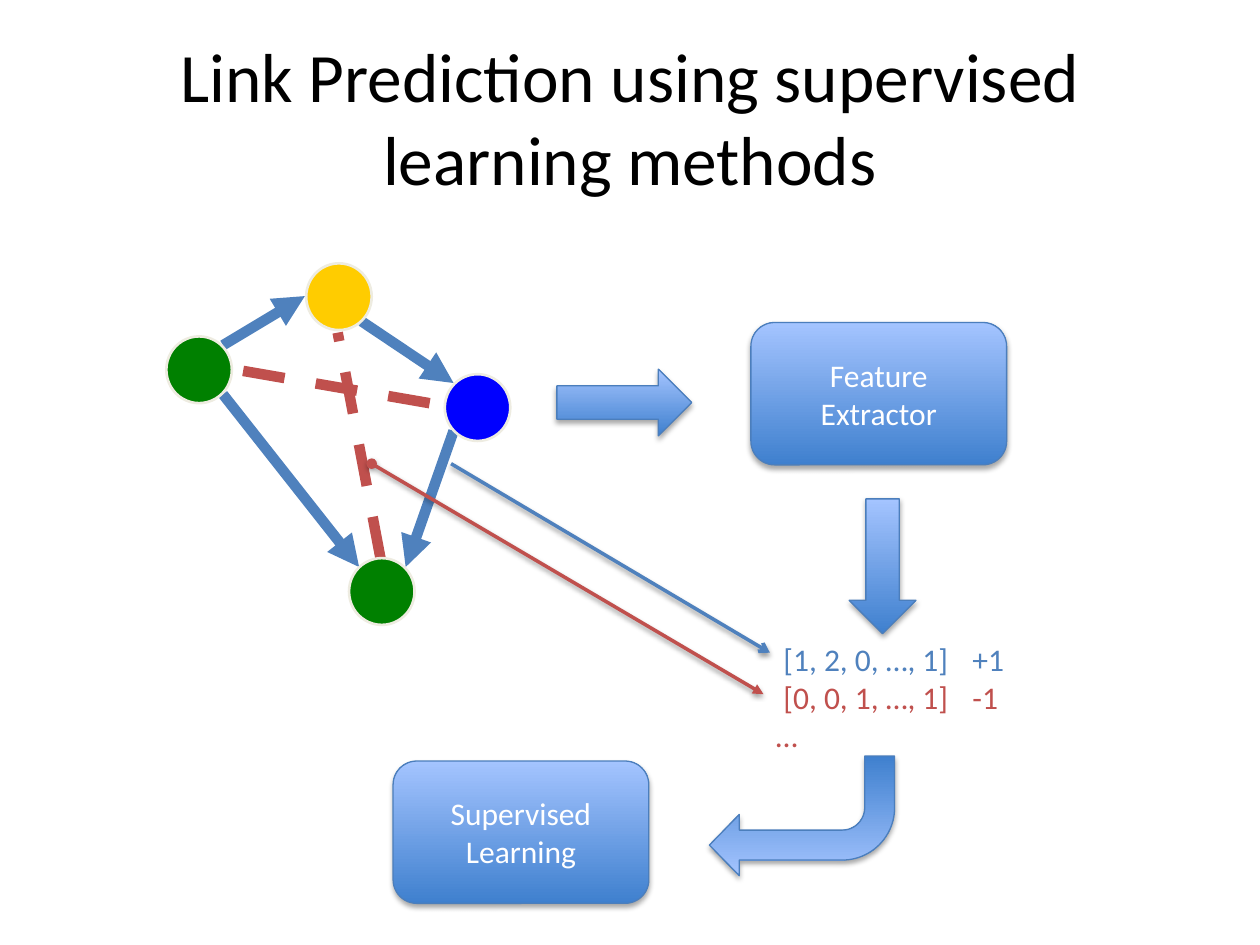
from lxml.etree import SubElement
from pptx import Presentation
from pptx.dml.color import RGBColor
from pptx.enum.dml import MSO_LINE
from pptx.enum.shapes import MSO_CONNECTOR, MSO_SHAPE as SHAPE
from pptx.enum.text import MSO_ANCHOR as ANCHOR, PP_ALIGN as ALIGN
from pptx.oxml.ns import qn
from pptx.util import Inches, Pt

COLORS = {
    "black": "000000", "white": "FFFFFF", "cream": "EEECE1",
    "edge": "4F81BD", "missing": "C0504D", "outline": "4B7EBC",
    "dark": "3F80CE", "light": "A4C4FF",
    "blue": "0000FF", "green": "008000", "yellow": "FFCC00",
}
COLS, ROWS = 100, 75  # square grid cells


class Deck:
    font = "Calibri"

    def __init__(self, width=10, height=7.5):
        self.prs = Presentation()
        self.prs.slide_width, self.prs.slide_height = Inches(width), Inches(height)
        self.cell_w = self.prs.slide_width / COLS
        self.cell_h = self.prs.slide_height / ROWS
        self.slide = self.prs.slides.add_slide(self.prs.slide_layouts[6])

    def grid(self, *lengths):
        """Turn alternating columns and rows into slide lengths."""
        return [round(n * (self.cell_h if i % 2 else self.cell_w))
                for i, n in enumerate(lengths)]

    def color(self, name):
        return RGBColor.from_string(COLORS[name])

    def add_text(self, p, text, size, color, align=None):
        p.alignment = align
        r = p.add_run()
        r.text = text
        r.font.name, r.font.size = self.font, Pt(size)
        r.font.color.rgb = self.color(color)

    def shadow(self, sp, alpha=None, dist=1.8):
        """Replace the theme shadow: none, or a soft one straight below."""
        effects = SubElement(sp._element.spPr, qn("a:effectLst"))
        if alpha:
            shd = SubElement(effects, qn("a:outerShdw"), blurRad=str(Pt(3.1)),
                             dist=str(Pt(dist)), dir="5400000", rotWithShape="0")
            clr = SubElement(shd, qn("a:srgbClr"), val=COLORS["black"])
            SubElement(clr, qn("a:alpha"), val=str(alpha * 1000))

    def text_box(self, box, anchor=ANCHOR.TOP):
        tf = self.slide.shapes.add_textbox(*self.grid(*box)).text_frame
        tf.word_wrap, tf.vertical_anchor = True, anchor
        return tf

    def title(self, box, text):
        tf = self.text_box(box, ANCHOR.MIDDLE)
        self.add_text(tf.paragraphs[0], text, 39.6, "black", ALIGN.CENTER)

    def vectors(self, box, rows):
        tf = self.text_box(box)
        tf.margin_right = 0
        for i, (vector, label, color) in enumerate(rows):
            p = tf.add_paragraph() if i else tf.paragraphs[0]
            self.add_text(p, f"{vector}\t{label}" if label else vector, 18, color)
            if label:
                pPr = p._p.get_or_add_pPr()
                pPr.set("marL", str(Inches(0.06)))
                pPr.set("indent", "0")
                tabs = SubElement(pPr, qn("a:tabLst"))
                SubElement(tabs, qn("a:tab"), pos=str(Inches(1.95)), algn="r")

    def line(self, start, end, color, width=6, head=None, tail=None,
             dashed=False, shadow=None):
        cn = self.slide.shapes.add_connector(
            MSO_CONNECTOR.STRAIGHT, *self.grid(*start, *end))
        cn.line.color.rgb, cn.line.width = self.color(color), Pt(width)
        if dashed:
            cn.line.dash_style = MSO_LINE.DASH
        ln = cn._element.spPr.find(qn("a:ln"))
        for tag, kind in (("a:headEnd", head), ("a:tailEnd", tail)):
            if kind:
                SubElement(ln, qn(tag), type=kind)
        self.shadow(cn, shadow, 1.6)

    def node(self, left, top, color):
        sp = self.slide.shapes.add_shape(
            SHAPE.OVAL, *self.grid(left, top, 5.2, 5.3))
        sp.shadow.inherit = False
        sp.fill.solid()
        sp.fill.fore_color.rgb = self.color(color)
        sp.line.color.rgb, sp.line.width = self.color("cream"), Pt(1.5)

    def block(self, kind, box, text=None, rotation=0, adjust=()):
        sp = self.slide.shapes.add_shape(kind, *self.grid(*box))
        sp.rotation = rotation
        for i, value in enumerate(adjust):
            sp.adjustments[i] = value
        sp.fill.gradient()
        sp.fill.gradient_angle = 90
        for stop, name, pos in zip(sp.fill.gradient_stops, ("dark", "light"), (0, 1)):
            stop.color.rgb, stop.position = self.color(name), pos
        sp.line.color.rgb, sp.line.width = self.color("outline"), Pt(0.75)
        self.shadow(sp, 35)
        if text:
            tf = sp.text_frame
            tf.word_wrap, tf.vertical_anchor = True, ANCHOR.MIDDLE
            self.add_text(tf.paragraphs[0], text, 18, "white", ALIGN.CENTER)


def main():
    deck = Deck()
    deck.title((5, 3, 90, 12.5), "Link Prediction using supervised learning methods")

    # Graph: known links, missing links, nodes
    for start, end in (((17.7, 31.3), (28.5, 45)), ((36, 34.2), (32.2, 45)),
                       ((17.7, 27.4), (24.2, 23.5)), ((28.7, 25.5), (36, 30.4))):
        deck.line(start, end, "edge", tail="triangle")
    deck.line((30.2, 44.3), (26.8, 26.4), "missing", dashed=True)
    for left, top, color in ((35.3, 29.7, "blue"), (27.7, 44.3, "green"),
                             (13.2, 26.7, "green"), (24.3, 20.9, "yellow")):
        deck.node(left, top, color)
    deck.line((34.1, 32), (18.5, 29.3), "missing", dashed=True)

    # Pipeline steps
    step_w, step_h = 20.3, 11.3
    deck.block(SHAPE.RIGHT_ARROW, (44.2, 29.3, 10.7, 5.3))
    deck.block(SHAPE.ROUNDED_RECTANGLE, (59.6, 25.6, step_w, step_h), "Feature Extractor")
    deck.block(SHAPE.DOWN_ARROW, (67.4, 39.6, 5.3, 10.7))
    deck.block(SHAPE.ROUNDED_RECTANGLE, (31.2, 60.4, step_w, step_h), "Supervised Learning")
    deck.block(SHAPE.BENT_ARROW, (56.3, 60, 14.7, 9.5), rotation=180,
               adjust=(0.25, 0.256, 0.25, 0.438))

    # Feature vectors with labels, and the links they come from
    deck.vectors((60.6, 50.3, 21.8, 10.1), (
        ("[1, 2, 0, …, 1]", "+1", "edge"),
        ("[0, 0, 1, …, 1]", "-1", "missing"),
        ("…", None, "missing")))
    deck.line((35.8, 36.8), (61.1, 51.8), "edge", 2, tail="arrow", shadow=38)
    deck.line((29.5, 36.8), (60.6, 55.1), "missing", 2, "oval", "triangle", shadow=38)

    deck.prs.save("out.pptx")


if __name__ == "__main__":
    main()
